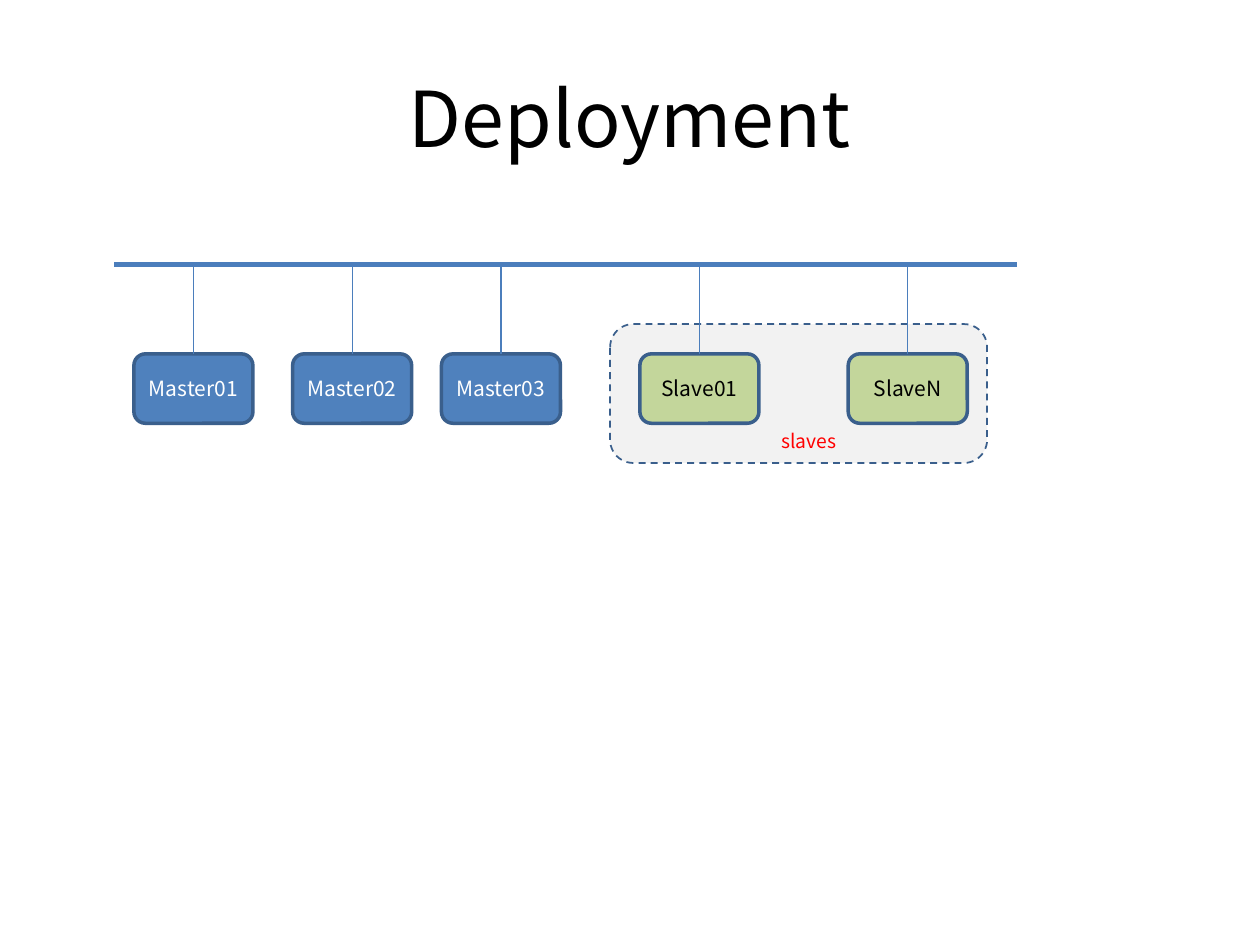
from pptx import Presentation
from pptx import util as u
from pptx.dml.color import RGBColor
from pptx.enum import dml, shapes, text
from pptx.oxml.ns import qn
from lxml import etree

FONT = "Noto Sans CJK KR"
CELL = u.Mm(2)
COLORS = {
    "black": "000000", "white": "FFFFFF", "red": "FF0000",
    "master": "4F81BD", "slave": "C3D69B", "group": "F2F2F2",
    "border": "3A5F8C", "wire": "4B7EBC",
}
NODE_COLS, NODE_ROWS, NODE_ROW = 12, 7, 9
NODES = [
    ("Master01", 2, "master", "white"),
    ("Master02", 18, "master", "white"),
    ("Master03", 33, "master", "white"),
    ("Slave01", 53, "slave", "black"),
    ("SlaveN", 74, "slave", "black"),
]


def rgb(name):
    return RGBColor.from_string(COLORS[name])


def cells(box, col, row, cols, rows):
    left, top = box[:2]
    return [int(n) for n in (left + col * CELL, top + row * CELL,
                             cols * CELL, rows * CELL)]


def write(tf, words, size, color, align):
    p = tf.paragraphs[0]
    p.alignment = align
    r = p.add_run()
    r.text = words
    r.font.name = FONT
    r.font.size = u.Pt(size)
    r.font.color.rgb = rgb(color)


def add_panel(s, box, fill, width):
    sp = s.shapes.add_shape(shapes.MSO_SHAPE.ROUNDED_RECTANGLE, *box)
    sp.shadow.inherit = False
    sp.fill.solid()
    sp.fill.fore_color.rgb = rgb(fill)
    sp.line.color.rgb = rgb("border")
    sp.line.width = u.Pt(width)
    return sp


def add_wire(s, start, end, width):
    wire = s.shapes.add_connector(shapes.MSO_CONNECTOR.STRAIGHT, *start, *end)
    wire.line.color.rgb = rgb("wire")
    wire.line.width = u.Pt(width)
    etree.SubElement(wire._element.spPr, qn("a:effectLst"))
    return wire


def add_title(s, box):
    title = s.shapes.title
    title.left, title.top, title.width, title.height = box
    tf = title.text_frame
    tf.vertical_anchor = text.MSO_ANCHOR.MIDDLE
    write(tf, "Deployment", 44, "black", text.PP_ALIGN.CENTER)


def add_node(s, box, name, fill, color):
    node = add_panel(s, box, fill, 2)
    tf = node.text_frame
    tf.margin_left = tf.margin_right = tf.margin_top = tf.margin_bottom = 0
    tf.vertical_anchor = text.MSO_ANCHOR.MIDDLE
    write(tf, name, 12, color, text.PP_ALIGN.CENTER)
    return node


def add_slave_group(s, box):
    group = add_panel(s, box, "group", 1)
    group.line.dash_style = dml.MSO_LINE.DASH
    label = s.shapes.add_textbox(*cells(box, 16, 10, 10, 3.7))
    tf = label.text_frame
    tf.word_wrap = True
    tf.auto_size = text.MSO_AUTO_SIZE.SHAPE_TO_FIT_TEXT
    write(tf, "slaves", 11, "red", text.PP_ALIGN.LEFT)


def add_network(s, box):
    left, top, width, _ = box
    add_slave_group(s, cells(box, 50, 6, 38, 14))
    add_wire(s, (left, top), (left + width, top), 3)
    for name, col, fill, color in NODES:
        node_box = cells(box, col, NODE_ROW, NODE_COLS, NODE_ROWS)
        node = add_node(s, node_box, name, fill, color)
        x = node.left + node.width // 2
        add_wire(s, (x, node.top), (x, top), 0.75).begin_connect(node, 0)


def main():
    prs = Presentation()
    prs.slide_width, prs.slide_height = u.Inches(10), u.Inches(7.5)
    w, h = prs.slide_width, prs.slide_height
    s = prs.slides.add_slide(prs.slide_layouts[5])
    add_title(s, [int(n) for n in (w * 0.05, h * 0.04, w * 0.9, h / 6)])
    add_network(s, [int(n) for n in (CELL * 11.5, h * 0.28, CELL * 91, CELL * 20)])
    prs.save("out.pptx")


if __name__ == "__main__":
    main()
